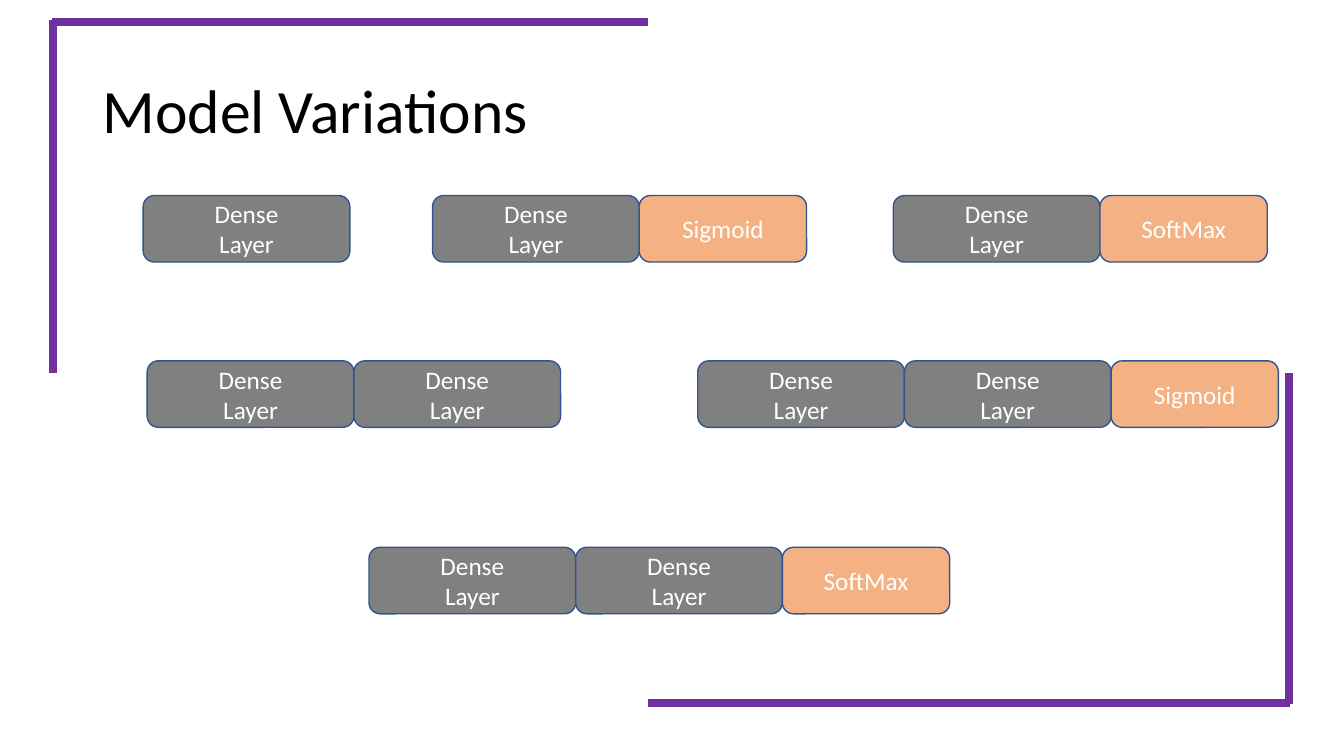
from lxml import etree
from pptx import Presentation
from pptx.dml.color import RGBColor
from pptx.enum import shapes, text
from pptx.oxml import ns
from pptx.util import Inches, Pt

COLORS = {
    "title": "000000",
    "label": "FFFFFF",
    "dense": "808080",
    "activation": "F4B183",
    "outline": "325491",
    "frame": "7030A0",
}
DENSE_WIDTH, ACTIVATION_WIDTH, LAYER_HEIGHT = 2.05, 1.66, 0.66
DENSE = "Dense\nLayer"


def color(name):
    return RGBColor.from_string(COLORS[name])


def write(box, wording, font_format, **paragraph_format):
    """Fill a shape's text frame, one paragraph per line of wording."""
    frame = box.text_frame
    frame.word_wrap = True
    frame.vertical_anchor = text.MSO_ANCHOR.MIDDLE
    frame.text = wording
    for paragraph in frame.paragraphs:
        for key, value in paragraph_format.items():
            setattr(paragraph, key, value)
        for key, value in font_format.items():
            setattr(paragraph.font, key, value)


prs = Presentation()
prs.slide_width, prs.slide_height = Inches(13.33), Inches(7.5)
slide = prs.slides.add_slide(prs.slide_layouts[6])

title = slide.shapes.add_textbox(Inches(0.92), Inches(0.4), Inches(11.5), Inches(1.45))
write(title, "Model Variations", {"name": "Calibri", "size": Pt(44)}, line_spacing=0.9)
title.text_frame.paragraphs[0].font.color.rgb = color("title")

# Each model: left edge, top edge, layers from left to right
models = [
    (1.42, 1.94, [DENSE]),
    (4.29, 1.94, [DENSE, "Sigmoid"]),
    (8.86, 1.94, [DENSE, "SoftMax"]),
    (1.46, 3.58, [DENSE, DENSE]),
    (6.92, 3.58, [DENSE, DENSE, "Sigmoid"]),
    (3.66, 5.43, [DENSE, DENSE, "SoftMax"]),
]
for left, top, layers in models:
    for label in layers:
        is_dense = label == DENSE
        width = DENSE_WIDTH if is_dense else ACTIVATION_WIDTH
        layer = slide.shapes.add_shape(
            shapes.MSO_SHAPE.ROUNDED_RECTANGLE,
            Inches(left), Inches(top), Inches(width), Inches(LAYER_HEIGHT))
        layer.shadow.inherit = False
        layer.fill.solid()
        layer.fill.fore_color.rgb = color("dense" if is_dense else "activation")
        layer.line.color.rgb = color("outline")
        layer.line.width = Pt(1)
        write(layer, label, {"name": "Calibri", "size": Pt(18)},
              alignment=text.PP_ALIGN.CENTER)
        for paragraph in layer.text_frame.paragraphs:
            paragraph.font.color.rgb = color("label")
        left += width

frame_edges = [
    (0.52, 0.22, 6.43, 0.22),
    (0.53, 0.2, 0.53, 3.7),
    (12.79, 6.97, 6.43, 6.97),
    (12.78, 6.98, 12.78, 3.7),
]
for ends in frame_edges:
    edge = slide.shapes.add_connector(
        shapes.MSO_CONNECTOR.STRAIGHT, *(Inches(value) for value in ends))
    edge.line.color.rgb = color("frame")
    edge.line.width = Pt(5.75)
    etree.SubElement(edge._element.spPr, ns.qn("a:effectLst"))

prs.save("out.pptx")
